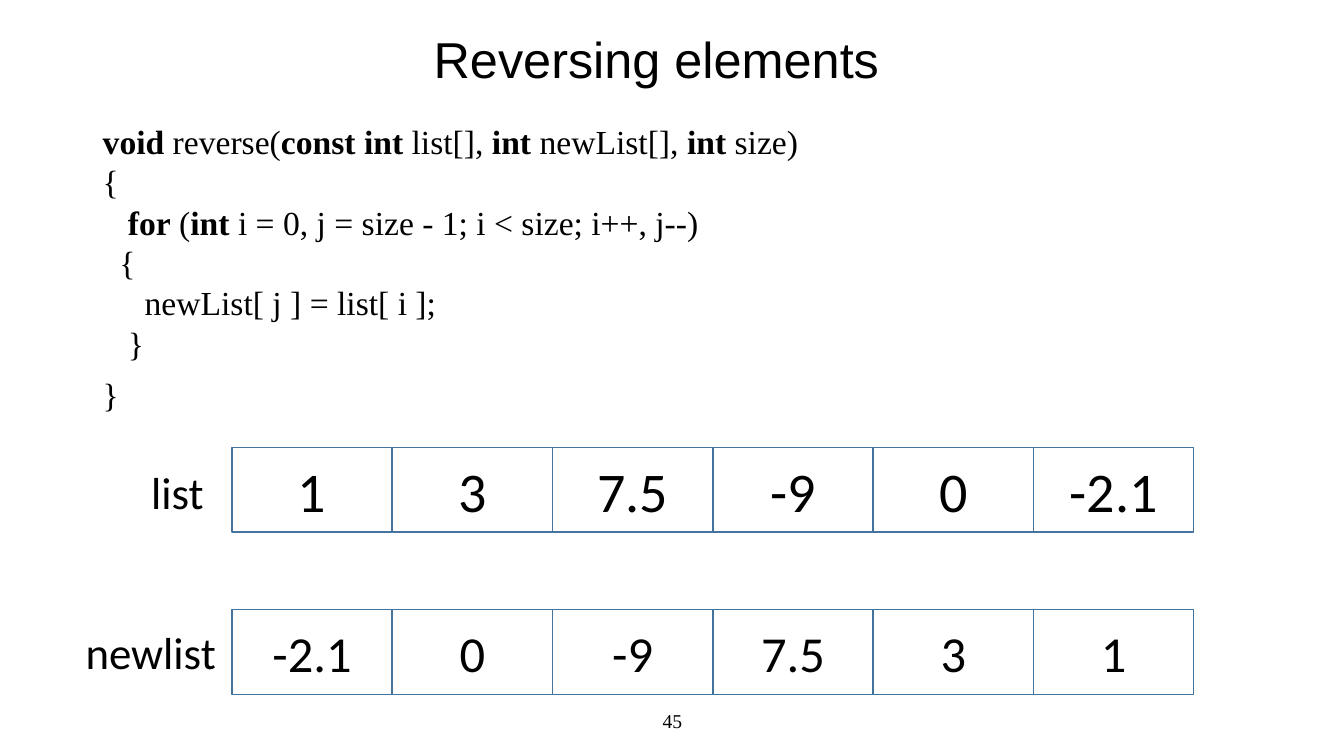
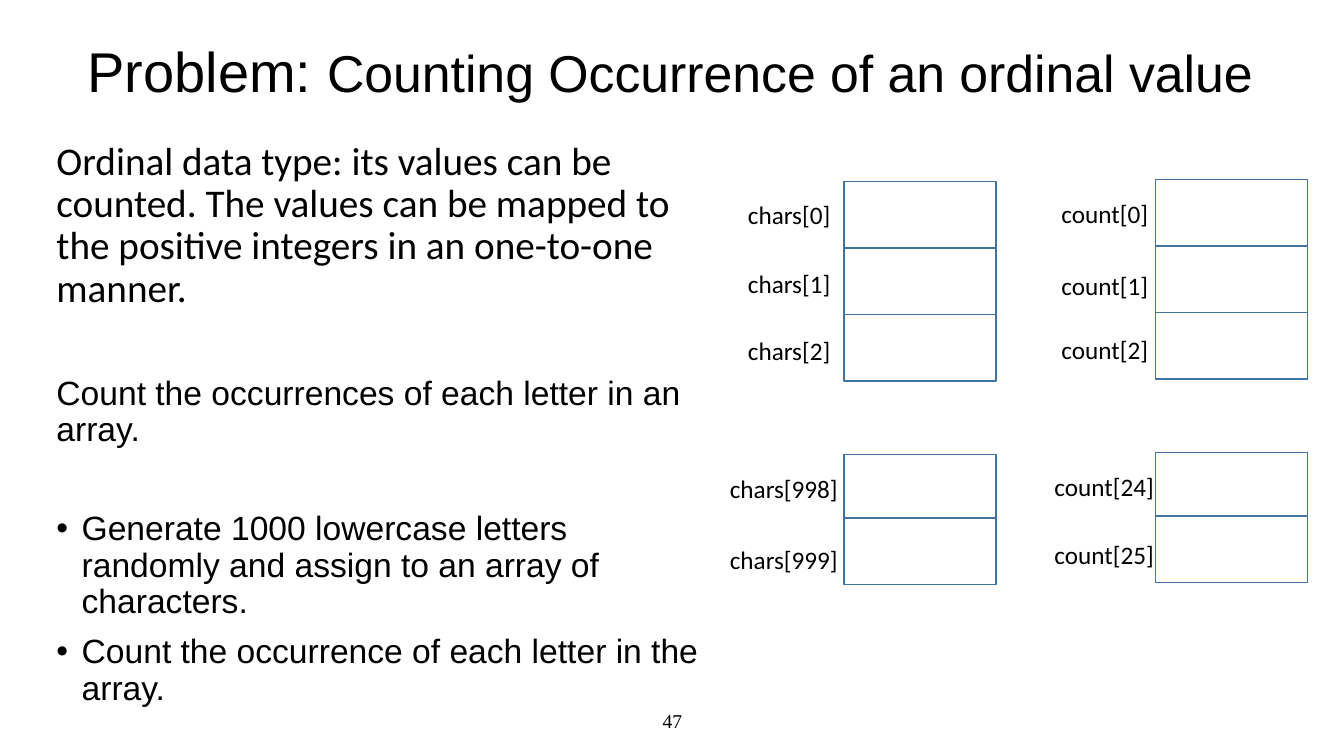
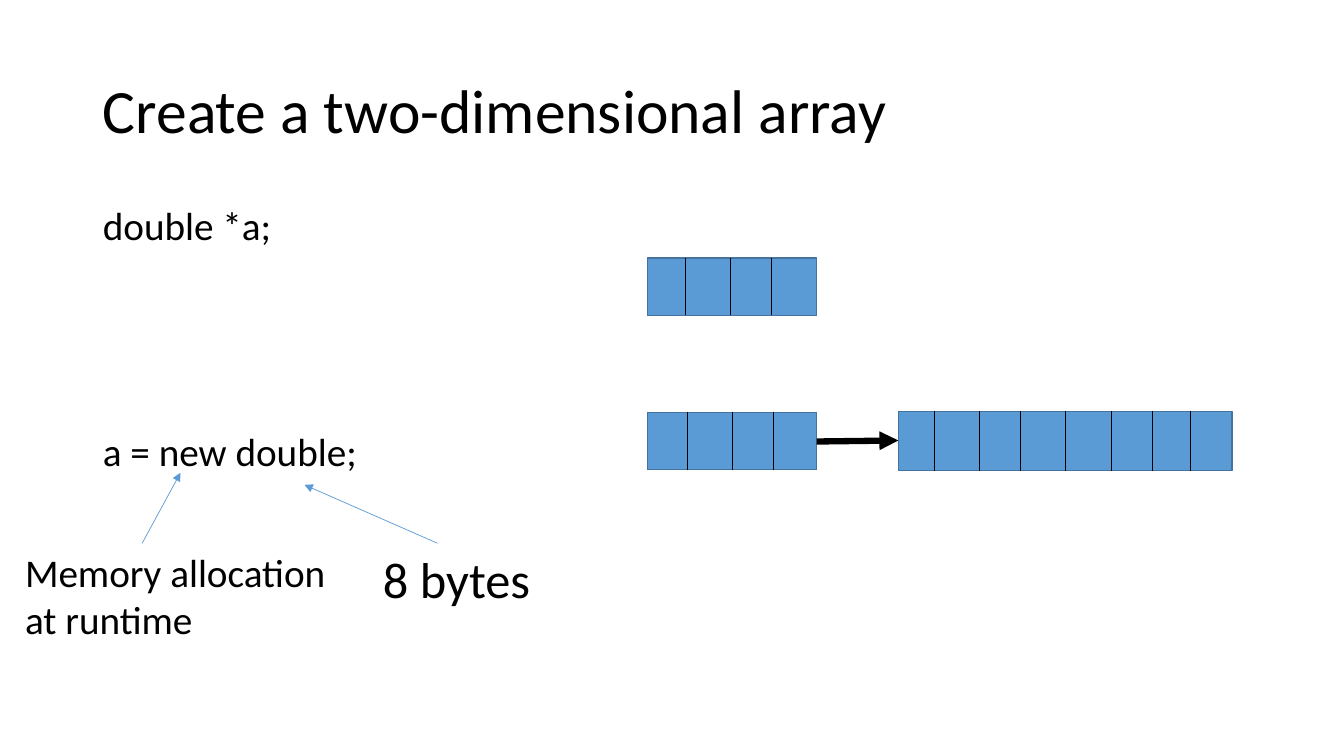
from dataclasses import dataclass

from lxml.etree import SubElement
from pptx import Presentation
from pptx.dml.color import RGBColor
from pptx.enum.shapes import MSO_CONNECTOR, MSO_SHAPE
from pptx.enum.text import MSO_ANCHOR, MSO_AUTO_SIZE, PP_ALIGN
from pptx.oxml.ns import qn
from pptx.util import Inches, Pt


@dataclass(frozen=True)
class Theme:
    ink: RGBColor = RGBColor(0x00, 0x00, 0x00)
    paper: RGBColor = RGBColor(0xFF, 0xFF, 0xFF)
    blue: RGBColor = RGBColor(0x5B, 0x9B, 0xD5)
    edge: RGBColor = RGBColor(0x43, 0x73, 0x9E)
    sans: str = "Calibri"
    head: str = "Arial"
    serif: str = "Times New Roman"
    title: int = 44
    title_wide: int = 40
    title_part: int = 37
    title_small: int = 36
    cell: int = 40
    figure: int = 36
    name: int = 32
    body: int = 28
    code: int = 24
    label: int = 18
    footer: int = 14
    spacing: float = 0.9
    edge_width: float = 1
    thin: float = 0.5
    thick: float = 4.5


class Deck:
    def __init__(self, theme):
        self.t = theme
        self.prs = Presentation()
        self.prs.slide_width = Inches(13.33)
        self.prs.slide_height = Inches(7.5)
        self.s = None

    def new_slide(self, layout, number=None):
        self.s = self.prs.slides.add_slide(self.prs.slide_layouts[layout])
        if number:
            sp = self.text((4.42, 6.95, 4.5, 0.4), [number], self.t.footer,
                           self.t.serif, PP_ALIGN.CENTER)
            sp.text_frame.vertical_anchor = MSO_ANCHOR.MIDDLE

    def place(self, sp, box):
        sp.left, sp.top, sp.width, sp.height = map(Inches, box)

    def run(self, p, text, size, font, bold=False):
        r = p.add_run()
        r.text = text
        r.font.size = Pt(size)
        r.font.name = font
        r.font.bold = bold
        r.font.color.rgb = self.t.ink

    def paragraph(self, tf, index):
        return tf.add_paragraph() if index else tf.paragraphs[0]

    def title(self, box, runs, font, align=PP_ALIGN.CENTER):
        sp = self.s.shapes.title
        self.place(sp, box)
        tf = sp.text_frame
        tf.auto_size = MSO_AUTO_SIZE.NONE
        tf.vertical_anchor = MSO_ANCHOR.MIDDLE
        p = tf.paragraphs[0]
        p.alignment = align
        p.line_spacing = self.t.spacing
        for text, size in runs:
            self.run(p, text, size, font)

    def body(self, box, items):
        sp = self.s.placeholders[1]
        self.place(sp, box)
        tf = sp.text_frame
        tf.auto_size = MSO_AUTO_SIZE.NONE
        for i, (text, size, font, before, bullet) in enumerate(items):
            p = self.paragraph(tf, i)
            self.bullet(p, bullet)
            p.line_spacing = self.t.spacing
            p.space_before = Pt(before)
            self.run(p, text, size, font)

    def bullet(self, p, shown):
        pPr = p._p.get_or_add_pPr()
        indent = Inches(0.25) if shown else 0
        pPr.set("marL", str(indent))
        pPr.set("indent", str(-indent))
        if shown:
            SubElement(pPr, qn("a:buFont")).set("typeface", self.t.head)
            SubElement(pPr, qn("a:buChar")).set("char", "•")
        else:
            SubElement(pPr, qn("a:buNone"))

    def text(self, box, lines, size, font, align=PP_ALIGN.LEFT):
        sp = self.s.shapes.add_textbox(*map(Inches, box))
        tf = sp.text_frame
        tf.word_wrap = True
        for i, line in enumerate(lines):
            p = self.paragraph(tf, i)
            p.alignment = align
            self.run(p, line, size, font)
        return sp

    def label(self, box, lines, size):
        tf = self.text(box, lines, size, self.t.sans).text_frame
        tf.word_wrap = False
        tf.auto_size = MSO_AUTO_SIZE.SHAPE_TO_FIT_TEXT

    def code(self, box, lines):
        tf = self.s.shapes.add_textbox(*map(Inches, box)).text_frame
        tf.word_wrap = True
        for i, line in enumerate(lines):
            p = self.paragraph(tf, i)
            for text, bold in line:
                self.run(p, text, self.t.code, self.t.serif, bold)
        p.space_before = Pt(8)

    def rect(self, box, fill, text=None, size=None):
        sp = self.s.shapes.add_shape(MSO_SHAPE.RECTANGLE, *map(Inches, box))
        sp.shadow.inherit = False
        sp.fill.solid()
        sp.fill.fore_color.rgb = fill
        sp.line.color.rgb = self.t.edge
        sp.line.width = Pt(self.t.edge_width)
        if text:
            tf = sp.text_frame
            tf.vertical_anchor = MSO_ANCHOR.MIDDLE
            tf.paragraphs[0].alignment = PP_ALIGN.CENTER
            self.run(tf.paragraphs[0], text, size, self.t.sans)

    def line(self, start, end, color, width, arrow=False):
        c = self.s.shapes.add_connector(MSO_CONNECTOR.STRAIGHT,
                                        *map(Inches, start + end))
        c.line.color.rgb = color
        c.line.width = Pt(width)
        if arrow:
            SubElement(c.line._get_or_add_ln(), qn("a:tailEnd")).set("type", "triangle")
        SubElement(c._element.spPr, qn("a:effectLst"))

    def array_row(self, top, values, size):
        width = 1.59
        for i, value in enumerate(values):
            self.rect((2.3 + i * width, top, width, 0.84), self.t.paper, value, size)

    def memory(self, box, cuts):
        left, top, _, height = box
        self.rect(box, self.t.blue)
        for cut in cuts:
            x = left + cut
            self.line((x, top), (x, top + height), self.t.ink, self.t.thin)


def reversing(d):
    t = d.t
    d.new_slide(5, "45")
    d.title((2.26, 0.33, 8.5, 0.58), [("Reversing elements", t.title_small)], t.head)
    d.code((0.92, 1.15, 7.22, 3.07), [
        [("void", True), (" reverse(", False), ("const int", True),
         (" list[], ", False), ("int ", True), ("newList[], ", False),
         ("int", True), (" size)", False)],
        [("{", False)],
        [("   ", False), ("for", True), (" (", False), ("int ", True),
         ("i = 0, j = size - 1; i < size; i++, j--)", False)],
        [("  {", False)],
        [("     newList[ j ] = list[ i ];", False)],
        [("   }", False)],
        [("}", False)],
    ])
    values = ["1", "3", "7.5", "-9", "0", "-2.1"]
    d.array_row(4.44, values, t.cell)
    d.array_row(6.05, reversed(values), t.figure)
    d.label((1.4, 4.56, 0.73, 0.64), ["list"], t.name)
    d.label((0.75, 6.15, 1.51, 0.64), ["newlist"], t.name)


def counting(d):
    t = d.t
    d.new_slide(1, "47")
    d.title((0.34, 0.11, 12.62, 1.25),
            [("Problem: ", t.title_wide),
             ("Counting Occurrence of an ordinal value", t.title_part)], t.head)
    d.body((0.46, 1.35, 6.7, 2.76), [
        ("Ordinal data type: its values can be counted. The values can be mapped to "
         "the positive integers in an one-to-one manner.", t.body, t.sans, 0, False),
        ("Count the occurrences of each letter in an array.",
         t.code, t.head, 47, False),
        ("Generate 1000 lowercase letters randomly and assign to an array of "
         "characters.", t.code, t.head, 45, True),
        ("Count the occurrence of each letter in the array.",
         t.code, t.head, 10, True),
    ])
    cell_tops = (1.8, 2.46, 3.12, 4.51, 5.14)
    columns = [
        ("chars", 8.37, 0, (0, 1, 2, 998, 999),
         (1.93, 2.61, 3.28, 4.65, 5.35), (7.32, 7.14), (1.03, 1.28)),
        ("count", 11.46, -0.02, (0, 1, 2, 24, 25),
         (1.92, 2.63, 3.27, 4.63, 5.3), (10.43, 10.36), (1.07, 1.2)),
    ]
    for name, left, shift, indexes, label_tops, lefts, widths in columns:
        for top, index, label_top in zip(cell_tops, indexes, label_tops):
            long = index > 9
            d.rect((left, top + shift, 1.51, 0.66), t.paper)
            d.label((lefts[long], label_top, widths[long], 0.4),
                    [f"{name}[{index}]"], t.label)


def two_dimensional(d):
    t = d.t
    d.new_slide(1)
    d.title((0.92, 0.4, 11.5, 1.45), [("Create a two-dimensional array", t.title)],
            t.sans, PP_ALIGN.LEFT)
    d.body((0.92, 2, 11.5, 4.76), [
        ("double *a;", t.body, t.sans, 0, False),
        ("a = new double;", t.body, t.sans, 131, False),
    ])
    d.memory((6.42, 2.56, 1.68, 0.57), (0.38, 0.82, 1.23))
    d.memory((6.42, 4.09, 1.68, 0.57), (0.4, 0.84, 1.25))
    d.memory((8.91, 4.08, 3.31, 0.59), (0.36, 0.8, 1.21, 1.66, 2.11, 2.52, 2.9))
    d.line((8.1, 4.38), (8.91, 4.37), t.ink, t.thick, True)
    d.line((4.34, 5.39), (3.02, 4.81), t.blue, t.thin, True)
    d.line((1.41, 5.39), (1.79, 4.69), t.blue, t.thin, True)
    d.label((3.7, 5.39, 1.68, 0.71), ["8 bytes"], t.figure)
    d.label((0.15, 5.39, 3.21, 1.04), ["Memory allocation", "at runtime"], t.body)


def main():
    d = Deck(Theme())
    for build in (reversing, counting, two_dimensional):
        build(d)
    d.prs.save("out.pptx")


if __name__ == "__main__":
    main()
